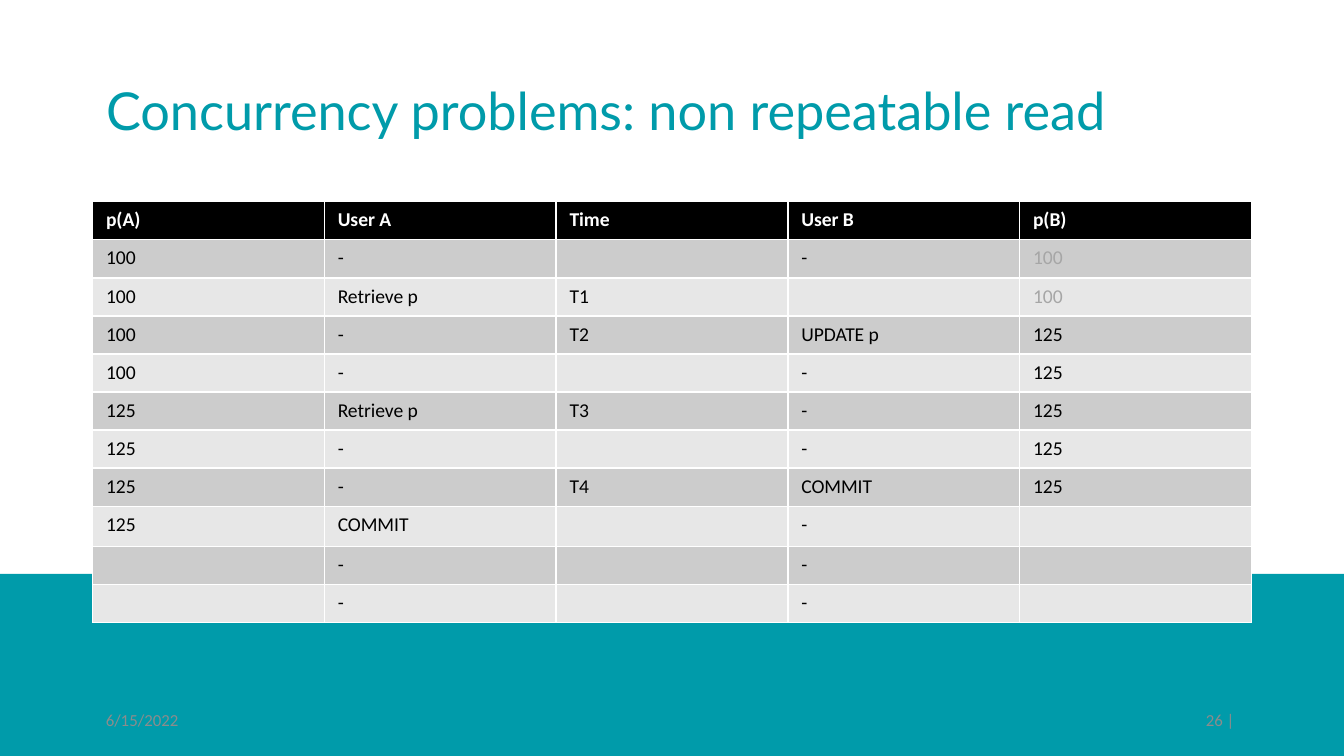
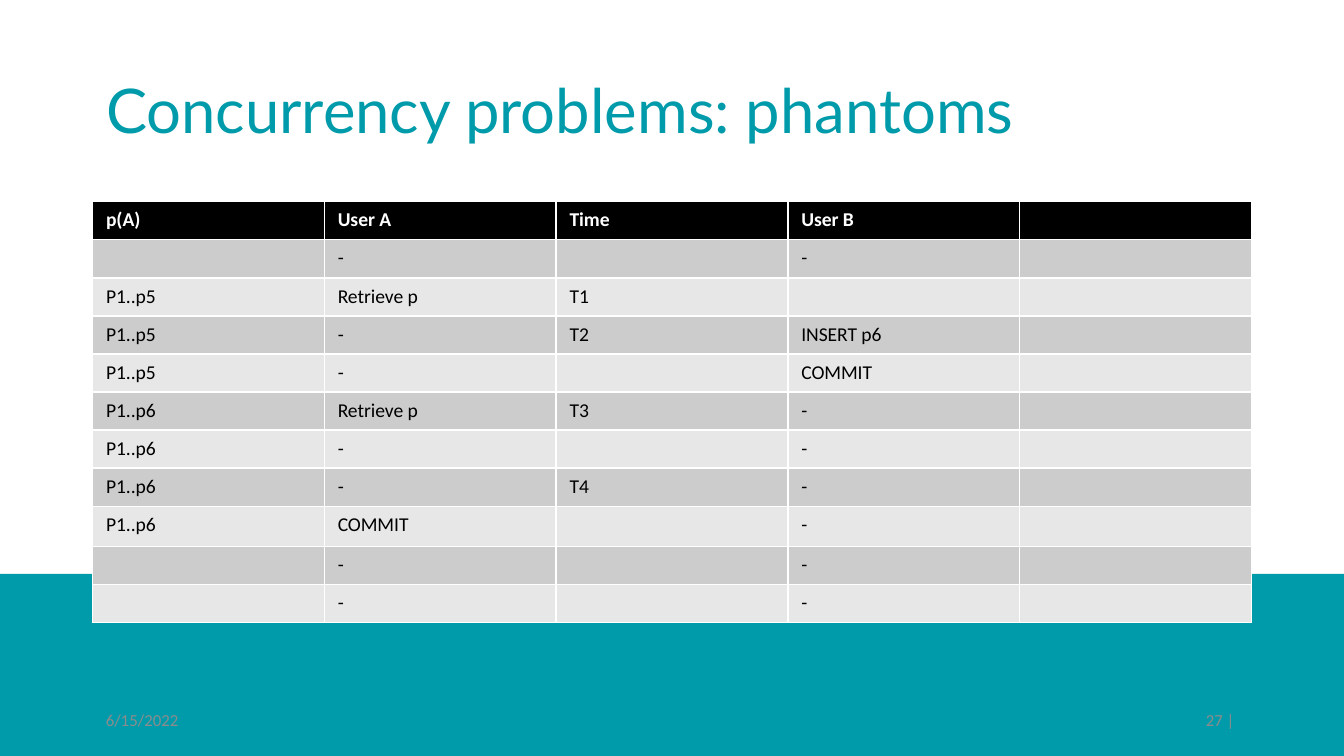
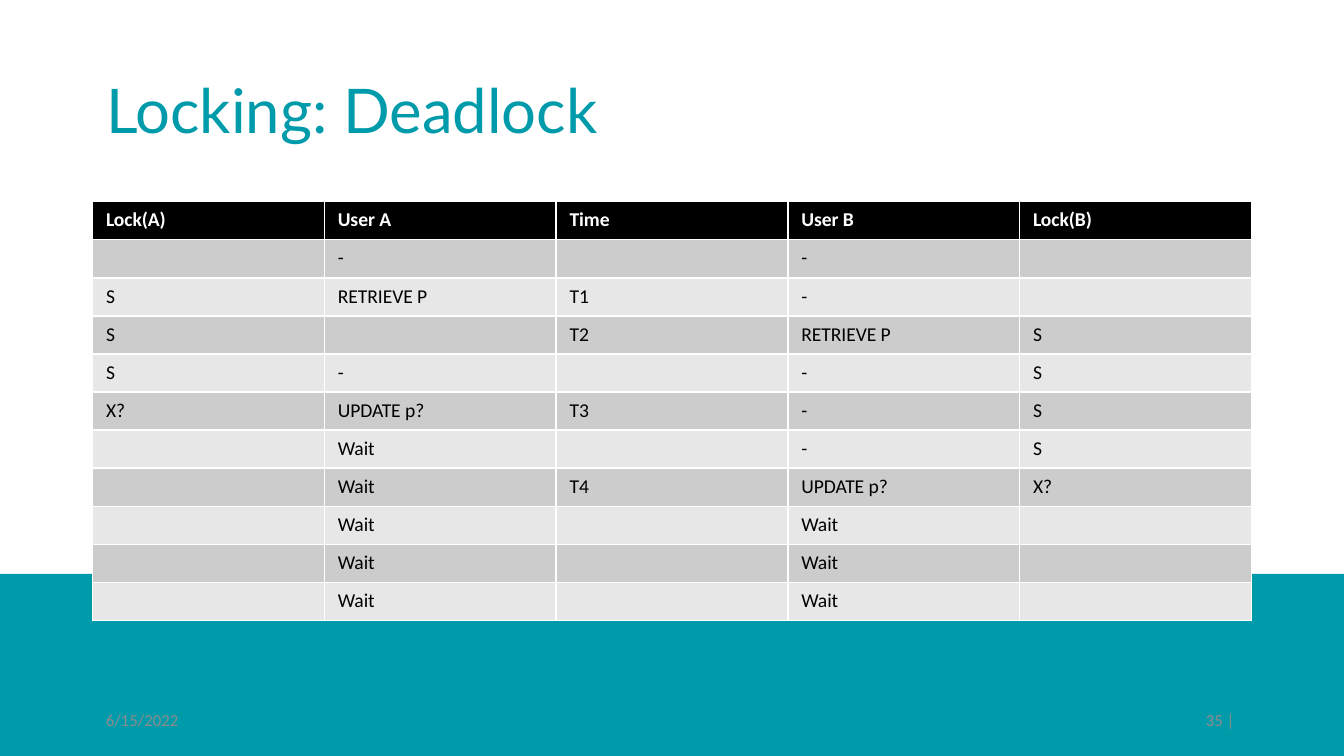
from lxml.etree import SubElement
from pptx import Presentation
from pptx.dml.color import RGBColor
from pptx.enum.shapes import MSO_SHAPE
from pptx.enum.text import MSO_ANCHOR, MSO_AUTO_SIZE, PP_ALIGN
from pptx.oxml.ns import qn
from pptx.util import Cm, Pt

TEAL = RGBColor(0x00, 0x9B, 0xAA)
BLACK = RGBColor(0x00, 0x00, 0x00)
WHITE = RGBColor(0xFF, 0xFF, 0xFF)
DARK_ROW = RGBColor(0xCC, 0xCC, 0xCC)
LIGHT_ROW = RGBColor(0xE7, 0xE7, 0xE7)
MUTED = RGBColor(0xA6, 0xA6, 0xA6)
FOOTER_GREY = RGBColor(0x8C, 0x8C, 0x8C)


def write_text(frame, text, font="Calibri", size=10.5, color=BLACK, bold=False,
               align=PP_ALIGN.LEFT, line_spacing=None):
    paragraph = frame.paragraphs[0]
    paragraph.alignment = align
    if line_spacing:
        paragraph.line_spacing = line_spacing
    if not text:
        end = SubElement(paragraph._p, qn("a:endParaRPr"))
        end.set("sz", str(int(size * 100)))
        return
    run = paragraph.add_run()
    run.text = text
    run.font.name = font
    run.font.size = Pt(size)
    run.font.bold = bold
    run.font.color.rgb = color


class Deck:
    width = 25.4
    height = 14.29
    margin = 1.75
    content_width = width - 2 * margin
    band_top = 10.85
    row_height = 0.72
    footer_width = 5.72

    def __init__(self):
        self.presentation = Presentation()
        self.presentation.slide_width = Cm(self.width)
        self.presentation.slide_height = Cm(self.height)
        self.slide = None

    def add_slide(self, title, number, title_size=33):
        layout = self.presentation.slide_layouts[5]
        self.slide = self.presentation.slides.add_slide(layout)
        self.add_band()
        self.add_title(title, title_size)
        self.add_footer("6/15/2022", self.margin, PP_ALIGN.LEFT)
        self.add_footer(f"{number} | ", self.width - self.margin - self.footer_width,
                        PP_ALIGN.RIGHT)

    def add_band(self):
        band = self.slide.shapes.add_shape(
            MSO_SHAPE.RECTANGLE, 0, Cm(self.band_top),
            Cm(self.width), Cm(self.height - self.band_top))
        band.shadow.inherit = False
        band.fill.solid()
        band.fill.fore_color.rgb = TEAL
        band.line.fill.background()

    def add_title(self, text, size):
        title = self.slide.shapes.title
        title.left, title.top = Cm(self.margin), Cm(0.76)
        title.width, title.height = Cm(self.content_width), Cm(2.77)
        frame = title.text_frame
        frame.auto_size = MSO_AUTO_SIZE.NONE
        frame.vertical_anchor = MSO_ANCHOR.MIDDLE
        write_text(frame, text, font="Lato", size=size, color=TEAL, line_spacing=0.9)

    def add_footer(self, text, left, align):
        box = self.slide.shapes.add_textbox(
            Cm(left), Cm(13.23), Cm(self.footer_width), Cm(0.76))
        frame = box.text_frame
        frame.word_wrap = True
        frame.vertical_anchor = MSO_ANCHOR.MIDDLE
        write_text(frame, text, size=9, color=FOOTER_GREY, align=align)

    def add_schedule(self, rows, commit_row_height=row_height, muted=()):
        columns = len(rows[0])
        shape = self.slide.shapes.add_table(
            len(rows), columns, Cm(self.margin), Cm(3.81),
            Cm(self.content_width), Cm(self.row_height * len(rows)))
        table = shape.table
        for column in table.columns:
            column.width = Cm(self.content_width / columns)
        for row in table.rows:
            row.height = Cm(self.row_height)
        table.rows[8].height = Cm(commit_row_height)
        for row_index, row in enumerate(rows):
            header = row_index == 0
            for column_index, text in enumerate(row):
                cell = table.cell(row_index, column_index)
                cell.fill.solid()
                if header:
                    fill, color = BLACK, WHITE
                else:
                    fill = DARK_ROW if row_index % 2 else LIGHT_ROW
                    color = MUTED if (row_index, column_index) in muted else BLACK
                cell.fill.fore_color.rgb = fill
                write_text(cell.text_frame, text, color=color, bold=header)


deck = Deck()

deck.add_slide("Concurrency problems: non repeatable read", 26, title_size=28)
deck.add_schedule([
    ("p(A)", "User A", "Time", "User B", "p(B)"),
    ("100", "-", "", "-", "100"),
    ("100", "Retrieve p", "T1", "", "100"),
    ("100", "-", "T2", "UPDATE p", "125"),
    ("100", "-", "", "-", "125"),
    ("125", "Retrieve p", "T3", "-", "125"),
    ("125", "-", "", "-", "125"),
    ("125", "-", "T4", "COMMIT", "125"),
    ("125", "COMMIT", "", "-", ""),
    ("", "-", "", "-", ""),
    ("", "-", "", "-", ""),
], commit_row_height=0.76, muted={(1, 4), (2, 4)})

deck.add_slide("Concurrency problems: phantoms", 27)
deck.add_schedule([
    ("p(A)", "User A", "Time", "User B", ""),
    ("", "-", "", "-", ""),
    ("P1..p5", "Retrieve p", "T1", "", ""),
    ("P1..p5", "-", "T2", "INSERT p6", ""),
    ("P1..p5", "-", "", "COMMIT", ""),
    ("P1..p6", "Retrieve p", "T3", "-", ""),
    ("P1..p6", "-", "", "-", ""),
    ("P1..p6", "-", "T4", "-", ""),
    ("P1..p6", "COMMIT", "", "-", ""),
    ("", "-", "", "-", ""),
    ("", "-", "", "-", ""),
], commit_row_height=0.76)

deck.add_slide("Locking: Deadlock", 35)
deck.add_schedule([
    ("Lock(A)", "User A", "Time", "User B", "Lock(B)"),
    ("", "-", "", "-", ""),
    ("S", "RETRIEVE P", "T1", "-", ""),
    ("S", "", "T2", "RETRIEVE P", "S"),
    ("S", "-", "", "-", "S"),
    ("X?", "UPDATE p?", "T3", "-", "S"),
    ("", "Wait", "", "-", "S"),
    ("", "Wait", "T4", "UPDATE p?", "X?"),
    ("", "Wait", "", "Wait", ""),
    ("", "Wait", "", "Wait", ""),
    ("", "Wait", "", "Wait", ""),
])

deck.presentation.save("out.pptx")
